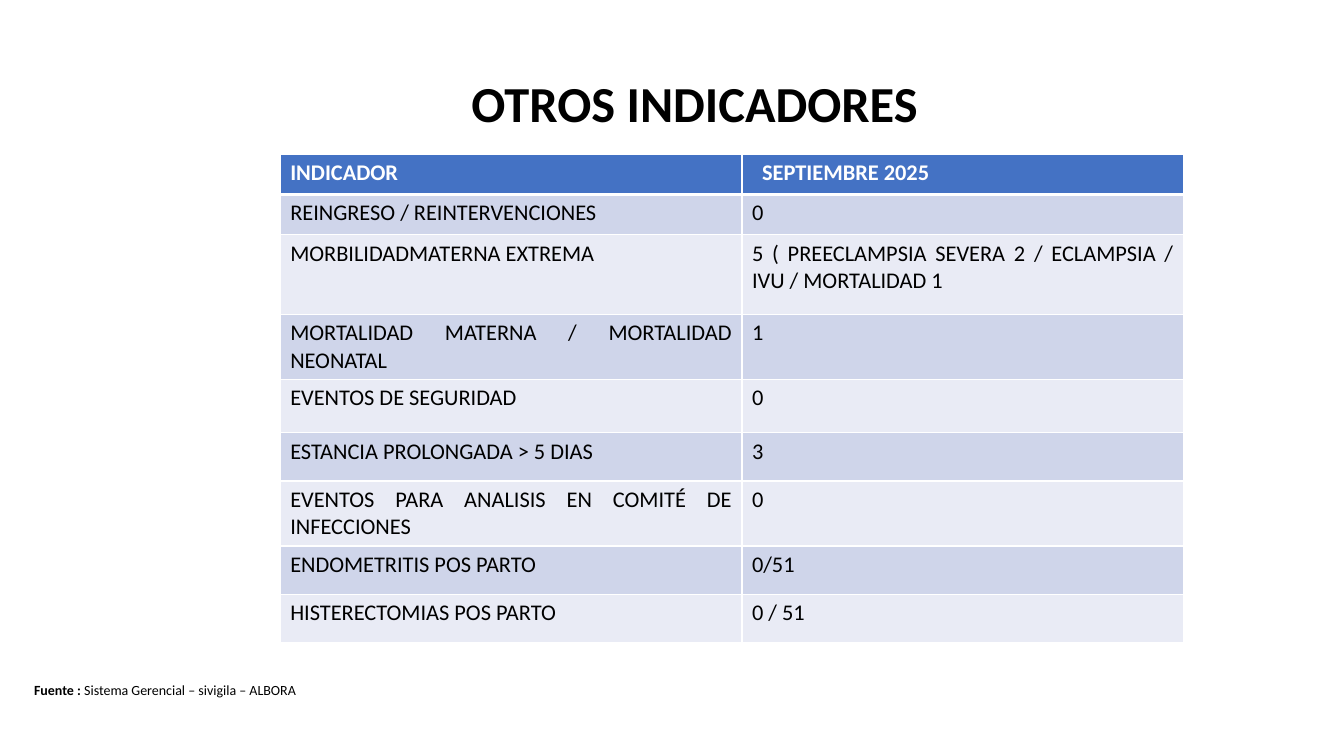
from lxml.etree import SubElement
from pptx import Presentation
from pptx.dml.color import RGBColor
from pptx.enum.text import MSO_ANCHOR, MSO_AUTO_SIZE, PP_ALIGN
from pptx.oxml.ns import qn
from pptx.util import Inches, Pt

HUES = {"head": "4472C4", "odd": "CFD5EA", "even": "E9EBF5",
        "ink": "000000", "white": "FFFFFF"}
GRID = 100  # columns across and rows down the slide

COLS = [34.36, 32.86]
ROWS = [
    (5.33, "INDICADOR", "SEPTIEMBRE 2025"),
    (5.33, "REINGRESO / REINTERVENCIONES", "0"),
    (10.53, "MORBILIDADMATERNA EXTREMA",
     "5 ( PREECLAMPSIA SEVERA 2 / ECLAMPSIA / IVU / MORTALIDAD 1"),
    (7.47, "MORTALIDAD MATERNA / MORTALIDAD NEONATAL", "1"),
    (7.07, "EVENTOS DE SEGURIDAD", "0"),
    (6.4, "ESTANCIA PROLONGADA > 5 DIAS", "3"),
    (7.47, "EVENTOS PARA ANALISIS EN COMITÉ DE INFECCIONES", "0"),
    (6.4, "ENDOMETRITIS POS PARTO", "0/51"),
    (6.4, "HISTERECTOMIAS POS PARTO", "0 / 51"),
]


def apply(target, values):
    for name, value in values.items():
        setattr(target, name, value)


class Page:
    def __init__(self, deck, layout):
        self.deck = deck
        self.slide = deck.slides.add_slide(layout)
        self.font = "Calibri"

    def x(self, cols):
        return round(self.deck.slide_width * cols / GRID)

    def y(self, rows):
        return round(self.deck.slide_height * rows / GRID)

    def box(self, left, top, wide, high):
        return self.x(left), self.y(top), self.x(wide), self.y(high)

    def label(self, para, text, size, bold=False, hue="ink"):
        run = para.add_run()
        run.text = text
        apply(run.font, {"name": self.font, "size": Pt(size), "bold": bold})
        run.font.color.rgb = RGBColor.from_string(HUES[hue])

    def title(self, text, *area):
        shape = self.slide.shapes.title
        apply(shape, dict(zip(("left", "top", "width", "height"), self.box(*area))))
        frame = shape.text_frame
        apply(frame, {"auto_size": MSO_AUTO_SIZE.NONE, "word_wrap": True,
                      "vertical_anchor": MSO_ANCHOR.MIDDLE})
        para = frame.paragraphs[0]
        apply(para, {"alignment": PP_ALIGN.CENTER, "line_spacing": 0.9})
        self.label(para, text, 36, True)

    def note(self, lead, text, *area):
        frame = self.slide.shapes.add_textbox(*self.box(*area)).text_frame
        apply(frame, {"word_wrap": True,
                      "auto_size": MSO_AUTO_SIZE.SHAPE_TO_FIT_TEXT})
        para = frame.paragraphs[0]
        self.label(para, lead, 10, True)
        self.label(para, text, 10)

    def edge(self, cell, widths):
        """Draw white cell borders; widths maps L, R, T, B to points."""
        props = cell._tc.get_or_add_tcPr()
        for side, width in widths.items():
            line = SubElement(props, qn(f"a:ln{side}"), w=str(Pt(width)))
            fill = SubElement(line, qn("a:solidFill"))
            SubElement(fill, qn("a:srgbClr"), val=HUES["white"])

    def cell(self, cell, row, text):
        head = row == 0
        self.edge(cell, {"L": 1, "R": 1, "T": 3 if row == 1 else 1,
                         "B": 3 if head else 1})
        cell.fill.solid()
        band = "head" if head else "odd" if row % 2 else "even"
        cell.fill.fore_color.rgb = RGBColor.from_string(HUES[band])
        para = cell.text_frame.paragraphs[0]
        para.alignment = PP_ALIGN.JUSTIFY
        self.label(para, text, 16, head, "white" if head else "ink")

    def table(self, left, top, cols, rows):
        area = self.box(left, top, sum(cols), sum(row[0] for row in rows))
        grid = self.slide.shapes.add_table(len(rows), len(cols), *area).table
        grid.horz_banding = False
        for col, wide in zip(grid.columns, cols):
            col.width = self.x(wide)
        for i, (high, *texts) in enumerate(rows):
            grid.rows[i].height = self.y(high)
            for j, text in enumerate(texts):
                self.cell(grid.cell(i, j), i, text)
        return grid


def main():
    deck = Presentation()
    apply(deck, {"slide_width": Inches(13.33), "slide_height": Inches(7.5)})
    page = Page(deck, deck.slide_layouts.get_by_name("Title Only"))
    grid = page.table(20.85, 20.4, COLS, ROWS)
    grid.cell(0, 1).margin_left = Inches(0.2)
    page.title("OTROS INDICADORES", 17.03, 0, 69.32, 28)
    page.note("Fuente : ", "Sistema Gerencial – sivigila – ALBORA",
              1.8, 89.47, 62.04, 3.6)
    deck.save("out.pptx")


if __name__ == "__main__":
    main()
